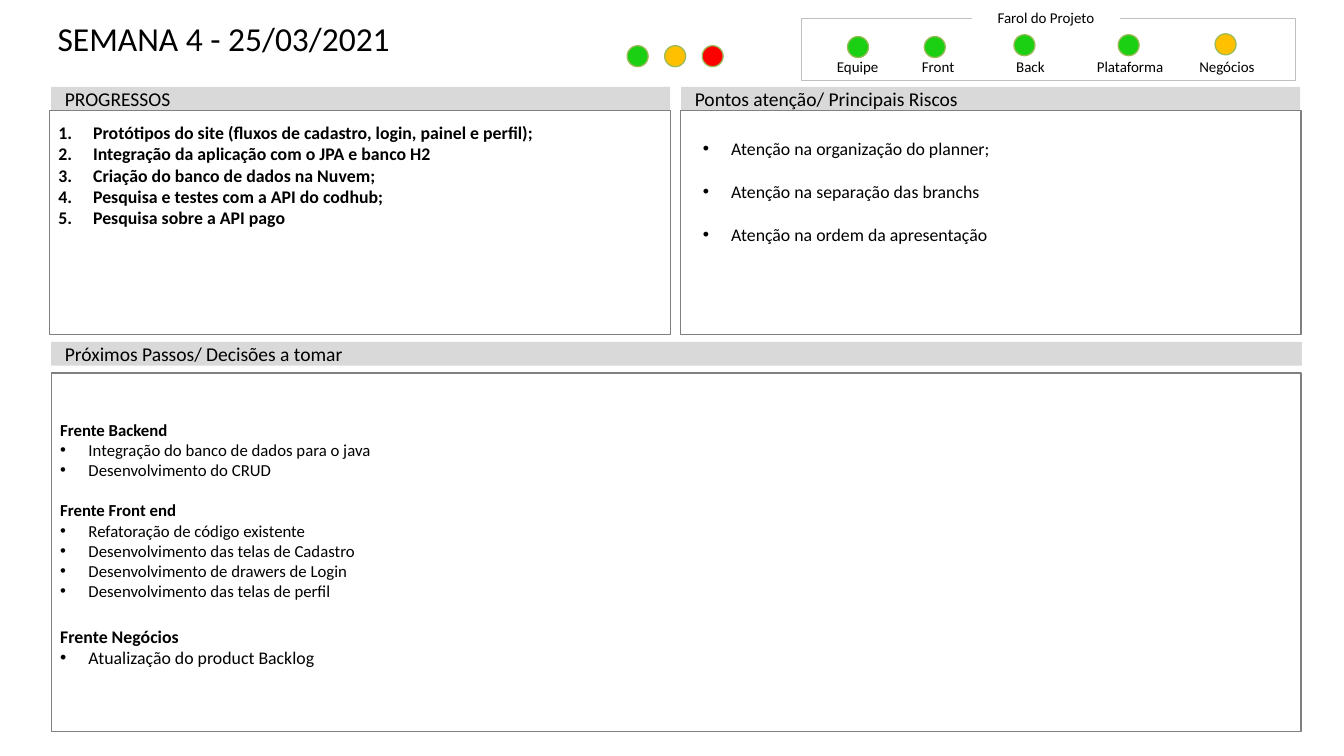
from lxml import etree
from pptx import Presentation
from pptx import util as u
from pptx.dml.color import RGBColor
from pptx.enum import shapes, text
from pptx.oxml import ns

COLORS = {"black": "000000", "white": "FFFFFF", "bar": "D9D9D9", "frame": "808080",
          "panel": "BFBFBF", "rim": "9BBB59",
          "green": "1BCF13", "amber": "FFC000", "red": "FF0000"}
RECT, OVAL = shapes.MSO_SHAPE.RECTANGLE, shapes.MSO_SHAPE.OVAL
TOP, MIDDLE, BOTTOM = text.MSO_ANCHOR.TOP, text.MSO_ANCHOR.MIDDLE, text.MSO_ANCHOR.BOTTOM
LEFT, CENTER = text.PP_ALIGN.LEFT, text.PP_ALIGN.CENTER

deck = Presentation()
deck.slide_width, deck.slide_height = u.Inches(14.7), u.Inches(8.27)
slide = deck.slides.add_slide(deck.slide_layouts[5])


def add_box(kind, at, fill=None, line=None, width=1):
    """Add a preset shape with optional fill and outline colours."""
    shape = slide.shapes.add_shape(kind, *map(u.Inches, at))
    shape.shadow.inherit = False
    if fill:
        shape.fill.solid()
        shape.fill.fore_color.rgb = RGBColor.from_string(COLORS[fill])
    else:
        shape.fill.background()
    if line:
        shape.line.color.rgb = RGBColor.from_string(COLORS[line])
        shape.line.width = u.Pt(width)
    else:
        shape.line.fill.background()
    return shape


def write(shape, lines, insets, anchor=TOP, align=LEFT, wrap=True):
    """Fill a shape with (words, size, bold, bullet, indent, space before) lines."""
    frame = shape.text_frame
    frame.word_wrap, frame.vertical_anchor = wrap, anchor
    frame.auto_size = text.MSO_AUTO_SIZE.NONE
    (frame.margin_left, frame.margin_top,
     frame.margin_right, frame.margin_bottom) = map(u.Inches, insets)
    for i, (words, size, bold, bullet, indent, before) in enumerate(lines):
        paragraph = frame.paragraphs[0] if i == 0 else frame.add_paragraph()
        paragraph.text, paragraph.alignment = words, align
        paragraph.space_before = u.Pt(before)
        font = paragraph.font
        font.name, font.size, font.bold = "Calibri", u.Pt(size), bold
        font.color.rgb = RGBColor.from_string(COLORS["black"])
        if bullet:
            props = paragraph._p.get_or_add_pPr()
            props.set("marL", str(u.Inches(indent)))
            props.set("indent", str(-u.Inches(indent)))
            etree.SubElement(props, ns.qn("a:buFont"), typeface="Arial" if bullet == "•" else "+mj-lt")
            if bullet == "•":
                etree.SubElement(props, ns.qn("a:buChar"), char=bullet)
            else:
                etree.SubElement(props, ns.qn("a:buAutoNum"), type=bullet)


# Title
title = slide.shapes.title
title.left, title.top, title.width, title.height = map(u.Inches, (0.51, 0.2, 13.23, 0.88))
write(title, [("SEMANA 4 - 25/03/2021", 26.4, False, None, 0, 0)], (0.12, 0, 0.12, 0))

# Section bars
for heading, left, top, width in [
        ("PROGRESSOS", 0.56, 0.95, 6.77),
        ("Pontos atenção/ Principais Riscos", 7.45, 0.95, 6.77),
        ("Próximos Passos/ Decisões a tomar", 0.56, 3.74, 13.68)]:
    bar = add_box(RECT, (left, top, width, 0.26), fill="bar")
    write(bar, [(heading, 15.4, False, None, 0, 0)], (0.15, 0.07, 0.15, 0.07), MIDDLE)

# Progress
progress = add_box(RECT, (0.54, 1.21, 6.79, 2.45), line="frame")
done = ["Protótipos do site (fluxos de cadastro, login, painel e perfil);",
        "Integração da aplicação com o JPA e banco H2",
        "Criação do banco de dados na Nuvem;",
        "Pesquisa e testes com a API do codhub;",
        "Pesquisa sobre a API pago"]
write(progress, [(item, 14, True, "arabicPeriod", 0.38, 0) for item in done],
      (0.1, 0.12, 0.1, 0.05))

# Risks
add_box(RECT, (7.44, 1.21, 6.79, 2.45), line="frame")
risks = slide.shapes.add_textbox(*map(u.Inches, (7.59, 1.46, 3.86, 1.75)))
warnings = ["Atenção na organização do planner;",
            "Atenção na separação das branchs",
            "Atenção na ordem da apresentação"]
write(risks, [(item, 14, False, "•", 0.31, 17 if i else 0) for i, item in enumerate(warnings)],
      (0.1, 0.05, 0.1, 0.05))

# Next steps
next_steps = add_box(RECT, (0.56, 4.08, 13.67, 3.92), line="frame")
fronts = [
    ("Frente Backend", 13.2, 0,
     ["Integração do banco de dados para o java", "Desenvolvimento do CRUD"]),
    ("Frente Front end", 13.2, 16,
     ["Refatoração de código existente", "Desenvolvimento das telas de Cadastro",
      "Desenvolvimento de drawers de Login", "Desenvolvimento das telas de perfil"]),
    ("Frente Negócios", 14, 19.5, ["Atualização do product Backlog"])]
steps = []
for front, size, gap, tasks in fronts:
    steps.append((front, size, True, None, 0, gap))
    steps += [(task, size, False, "•", 0.31, 0) for task in tasks]
write(next_steps, steps, (0.1, 0.51, 0.1, 0.05))
next_steps.text_frame._txBody.bodyPr.set("numCol", "3")

# Project status panel
add_box(RECT, (8.77, 0.2, 5.4, 0.68), line="panel", width=0.5)
caption = add_box(RECT, (10.63, 0.06, 1.62, 0.23), fill="white")
label_style = ((0.06, 0.06, 0.06, 0), BOTTOM, CENTER, False)
write(caption, [("Farol do Projeto", 11.8, False, None, 0, 0)], *label_style)

lamps = [(6.86, 0.5, "green"), (7.27, 0.5, "amber"), (7.68, 0.5, "red")]
for area, label_left, lamp_left, lamp_top, color in [
        ("Equipe", 8.89, 9.27, 0.4, "green"),
        ("Front", 9.77, 10.11, 0.4, "green"),
        ("Back", 10.78, 11.09, 0.38, "green"),
        ("Plataforma", 11.87, 12.23, 0.38, "green"),
        ("Negócios", 12.93, 13.29, 0.37, "amber")]:
    label = slide.shapes.add_textbox(*map(u.Inches, (label_left, 0.63, 0.98, 0.2)))
    write(label, [(area, 11.8, False, None, 0, 0)], *label_style)
    lamps.append((lamp_left, lamp_top, color))
for left, top, color in lamps:
    add_box(OVAL, (left, top, 0.23, 0.23), fill=color, line="rim")

deck.save("out.pptx")
